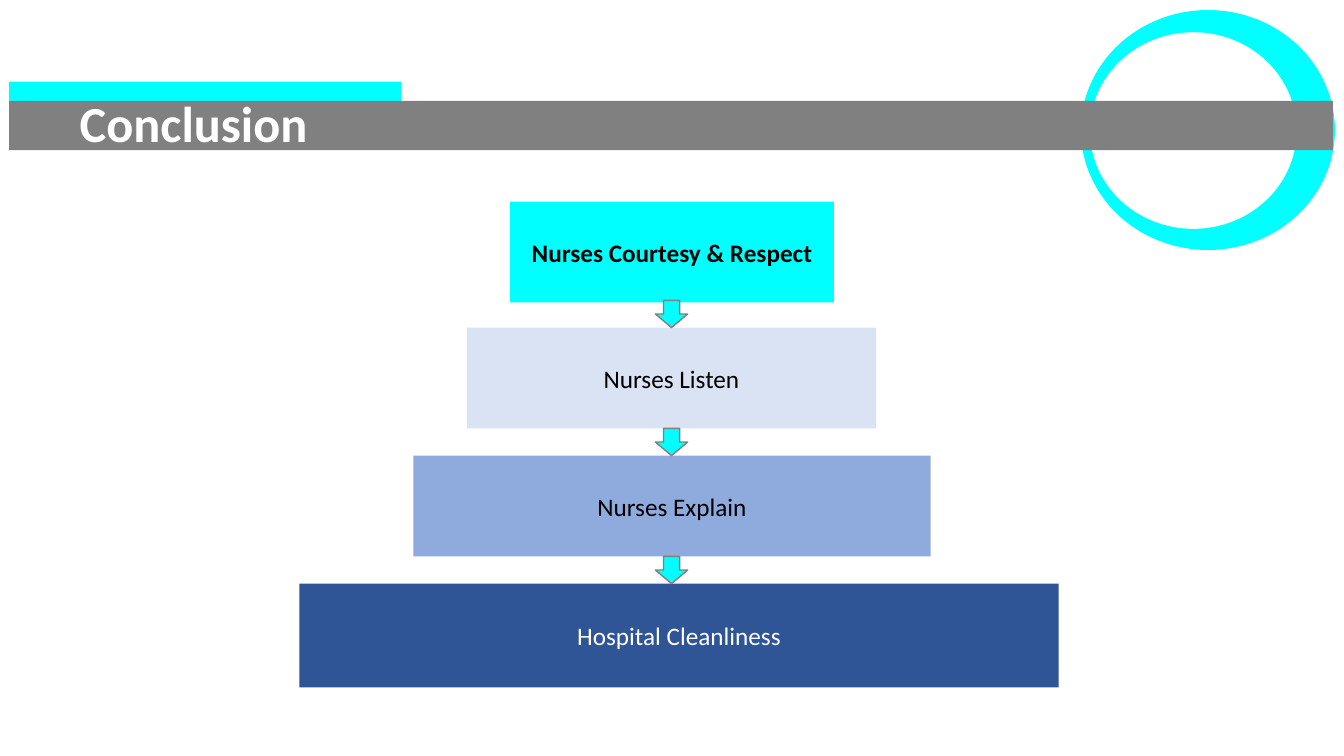
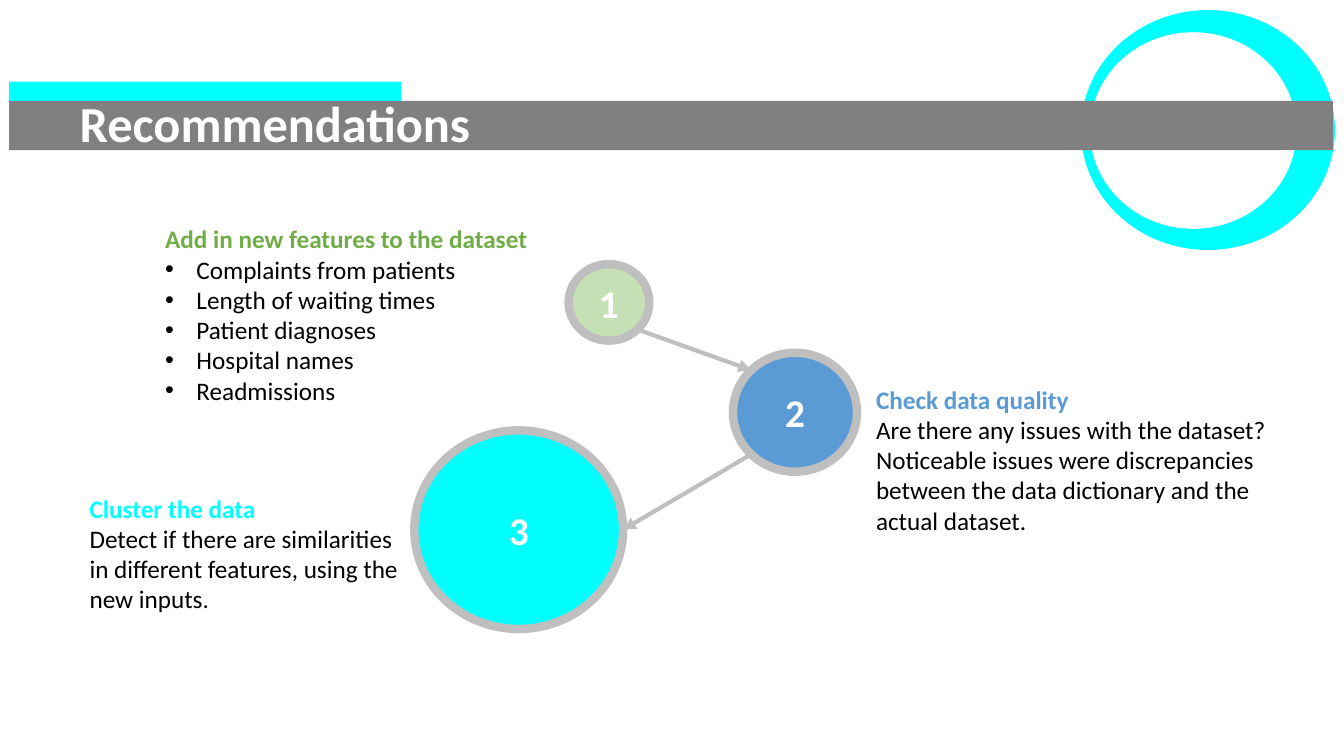
"""Build the conclusion and recommendations slides of a patient survey talk."""
from math import cos, radians, sin

from lxml.etree import SubElement
from pptx import Presentation
from pptx.dml.color import RGBColor
from pptx.enum.shapes import MSO_CONNECTOR as Line, MSO_SHAPE as Kind
from pptx.enum.text import MSO_ANCHOR as Anchor, MSO_AUTO_SIZE as Fit, PP_ALIGN as Align
from pptx.oxml.ns import qn
from pptx.util import Inches, Pt

CYAN = RGBColor(0x00, 0xFF, 0xFF)
GRAY = RGBColor(0x80, 0x80, 0x80)
SILVER = RGBColor(0xBF, 0xBF, 0xBF)
WHITE = RGBColor(0xFF, 0xFF, 0xFF)
BLACK = RGBColor(0x00, 0x00, 0x00)
PALE_BLUE = RGBColor(0xDA, 0xE3, 0xF3)
MID_BLUE = RGBColor(0x8F, 0xAA, 0xDC)
DARK_BLUE = RGBColor(0x2F, 0x55, 0x97)
BLUE = RGBColor(0x5B, 0x9B, 0xD5)
GREEN = RGBColor(0x70, 0xAD, 0x47)
PALE_GREEN = RGBColor(0xC5, 0xE0, 0xB4)
FONT = "Calibri"
TITLE_ONLY = 5


def write(para, text, size=18, color=BLACK, bold=False, align=Align.LEFT, bullet=False):
    para.alignment = align
    span = para.add_run()
    span.text = text
    span.font.name = FONT
    span.font.size = Pt(size)
    span.font.bold = bold
    span.font.color.rgb = color
    if bullet:
        properties = para._p.get_or_add_pPr()
        properties.set("marL", str(Inches(0.31)))
        properties.set("indent", str(-Inches(0.31)))
        SubElement(properties, qn("a:buFont"), typeface="Arial")
        SubElement(properties, qn("a:buChar"), char="•")


def rim(circle, angle):
    """Return the point on a circle's outline, clockwise from the right."""
    across, down = circle.width / 2, circle.height / 2
    turn = radians(angle)
    return (int(circle.left + across + across * cos(turn)),
            int(circle.top + down + down * sin(turn)))


class Slides:
    """Hold the deck, its shared style and the current page."""

    def __init__(self):
        self.deck = Presentation()
        self.deck.slide_width = Inches(13.33)
        self.deck.slide_height = Inches(7.5)
        self.page = None

    def start(self, title):
        self.page = self.deck.slides.add_slide(self.deck.slide_layouts[TITLE_ONLY])
        self.shape(Kind.FLOWCHART_CONNECTOR, 10.72, 0.1, 2.52, 2.38, CYAN)
        self.shape(Kind.FLOWCHART_CONNECTOR, 10.81, 0.32, 2.05, 1.95, WHITE)
        self.shape(Kind.RECTANGLE, 0.09, 0.81, 3.89, 0.49, CYAN)
        self.shape(Kind.RECTANGLE, 0.09, 1, 13.13, 0.49, GRAY)
        box = self.page.shapes.title
        box.left, box.top = Inches(0.69), Inches(0.86)
        box.width, box.height = Inches(8.77), Inches(0.71)
        frame = box.text_frame
        frame.vertical_anchor = Anchor.TOP
        frame.auto_size = Fit.SHAPE_TO_FIT_TEXT
        write(frame.paragraphs[0], title, size=36, color=WHITE, bold=True)
        box.element.getparent().append(box.element)

    def shape(self, kind, left, top, width, height, fill, line=None, weight=1,
              text="", **style):
        box = self.page.shapes.add_shape(
            kind, Inches(left), Inches(top), Inches(width), Inches(height))
        box.shadow.inherit = False
        box.fill.solid()
        box.fill.fore_color.rgb = fill
        if line is None:
            box.line.fill.background()
        else:
            box.line.color.rgb = line
            box.line.width = Pt(weight)
        if text:
            box.text_frame.vertical_anchor = Anchor.MIDDLE
            write(box.text_frame.paragraphs[0], text, align=Align.CENTER, **style)
        return box

    def circle(self, number, left, top, width, height, fill):
        return self.shape(Kind.FLOWCHART_CONNECTOR, left, top, width, height, fill,
                          line=SILVER, weight=6, text=number, size=28,
                          color=WHITE, bold=True)

    def down_arrow(self, left, top):
        arrow = self.shape(Kind.UP_ARROW, left, top, 0.32, 0.27, CYAN, line=GRAY)
        arrow.rotation = 180

    def note(self, left, top, width, height, heading, color, lines, bullet=False):
        box = self.page.shapes.add_textbox(
            Inches(left), Inches(top), Inches(width), Inches(height))
        frame = box.text_frame
        frame.word_wrap = True
        frame.auto_size = Fit.SHAPE_TO_FIT_TEXT
        write(frame.paragraphs[0], heading, color=color, bold=True)
        for line in lines:
            write(frame.add_paragraph(), line, bullet=bullet)

    def link(self, start, start_angle, end, end_angle):
        arrow = self.page.shapes.add_connector(
            Line.STRAIGHT, *rim(start, start_angle), *rim(end, end_angle))
        arrow.line.color.rgb = SILVER
        arrow.line.width = Pt(3)
        SubElement(arrow.line._get_or_add_ln(), qn("a:tailEnd"), type="triangle")
        SubElement(arrow.element.spPr, qn("a:effectLst"))


def conclusion(slides):
    slides.start("Conclusion")
    steps = [
        ("Nurses Courtesy & Respect", 5.06, 2, 3.21, 1, CYAN, BLACK, True),
        ("Nurses Listen", 4.63, 3.25, 4.06, 1, PALE_BLUE, BLACK, False),
        ("Nurses Explain", 4.1, 4.52, 5.13, 1, MID_BLUE, BLACK, False),
        ("Hospital Cleanliness", 2.97, 5.79, 7.53, 1.03, DARK_BLUE, WHITE, False),
    ]
    for text, left, top, width, height, fill, color, bold in steps:
        slides.shape(Kind.RECTANGLE, left, top, width, height, fill,
                     text=text, color=color, bold=bold)
    for step in steps[1:]:
        slides.down_arrow(6.5, step[2] - 0.27)


def recommendations(slides):
    slides.start("Recommendations")
    slides.note(1.54, 2.17, 4.09, 1.92, "Add in new features to the dataset", GREEN,
                ["Complaints from patients", "Length of waiting times",
                 "Patient diagnoses", "Hospital names", "Readmissions"], bullet=True)
    slides.note(8.59, 3.76, 4.09, 1.62, "Check data quality", BLUE,
                ["Are there any issues with the dataset? ",
                 "Noticeable issues were discrepancies between the data dictionary "
                 "and the actual dataset."])
    slides.note(0.79, 4.84, 3.27, 1.31, "Cluster the data", CYAN,
                ["Detect if there are similarities in different features, "
                 "using the new inputs."])
    features = slides.circle("1", 5.64, 2.62, 0.8, 0.76, PALE_GREEN)
    quality = slides.circle("2", 7.27, 3.5, 1.23, 1.18, BLUE)
    cluster = slides.circle("3", 4.11, 4.27, 2.07, 1.97, CYAN)
    slides.link(features, 45, quality, 225)
    slides.link(quality, 135, cluster, 0)


slides = Slides()
conclusion(slides)
recommendations(slides)
slides.deck.save("out.pptx")
